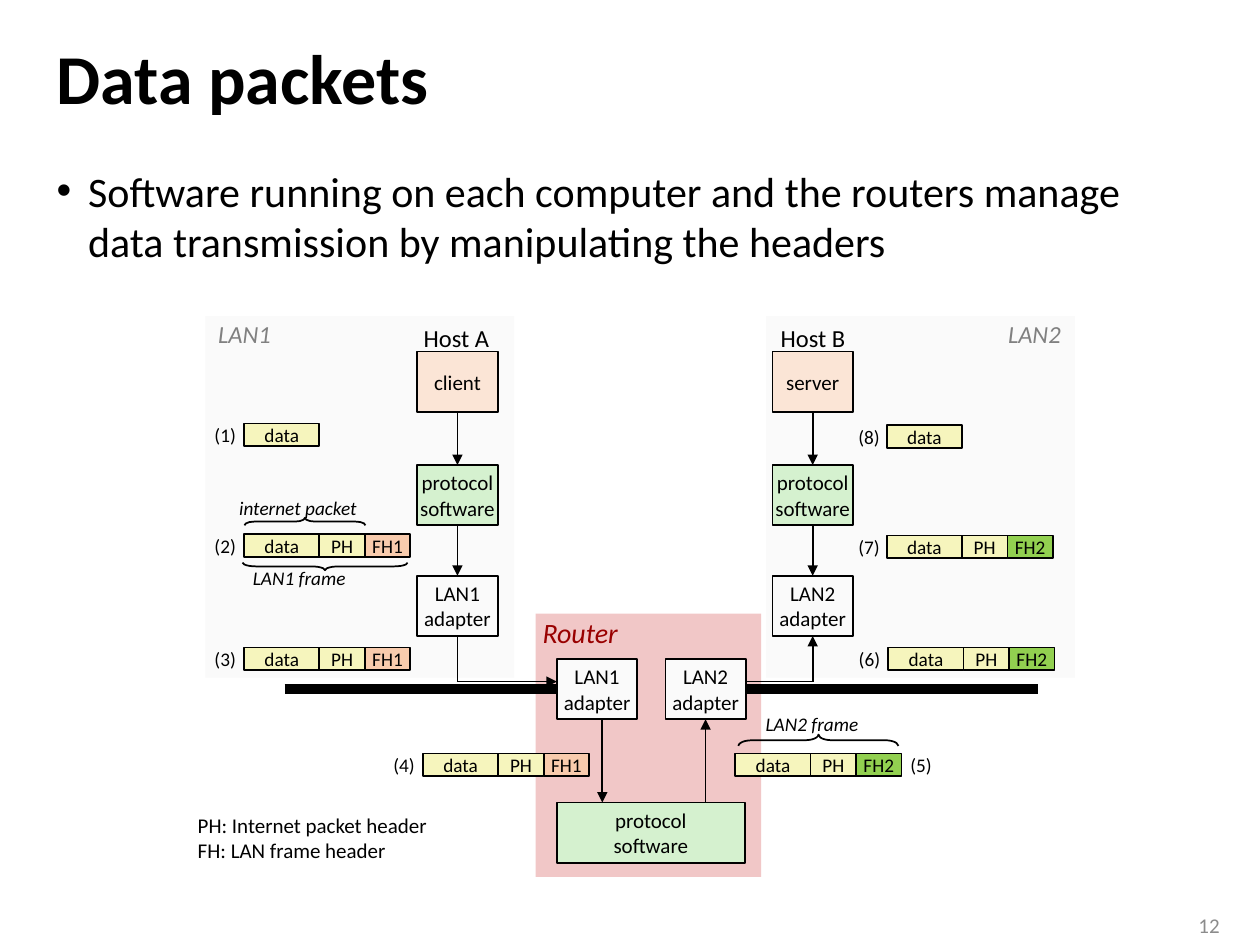
from lxml import etree
from pptx import Presentation
from pptx.dml.color import RGBColor
from pptx.enum.shapes import MSO_CONNECTOR, MSO_SHAPE
from pptx.enum.text import MSO_ANCHOR, PP_ALIGN
from pptx.oxml.ns import qn
from pptx.util import Pt

RECT, BRACE = MSO_SHAPE.RECTANGLE, MSO_SHAPE.LEFT_BRACE
STRAIGHT = MSO_CONNECTOR.STRAIGHT
TOP, MIDDLE = MSO_ANCHOR.TOP, MSO_ANCHOR.MIDDLE
LEFT, CENTER, RIGHT = PP_ALIGN.LEFT, PP_ALIGN.CENTER, PP_ALIGN.RIGHT

FONT = "Calibri"
HUES = {
    "black": "000000", "gray": "808080", "number": "8C8C8C", "red": "990000",
    "pale": "FAFAFA", "pink": "F1C7C7", "green": "D5F1CF", "peach": "FBE5D6",
    "yellow": "F6F5BD", "FH1": "F8CBAD", "FH2": "92D050",
}
HUES = {name: RGBColor.from_string(code) for name, code in HUES.items()}

deck = Presentation()
deck.slide_width, deck.slide_height = Pt(720), Pt(540)
slide = deck.slides.add_slide(deck.slide_layouts[6])


def put(x, y, w, h, text="", size=12, hue="black", fill=None, edge=True,
        bold=False, italic=False, align=CENTER, anchor=MIDDLE, wrap=False):
    """Add a filled box, or a plain text box when there is no fill."""
    place = [Pt(v) for v in (x, y, w, h)]
    if fill:
        box = slide.shapes.add_shape(RECT, *place)
        box.shadow.inherit = False
        box.fill.solid()
        box.fill.fore_color.rgb = HUES[fill]
        if edge:
            box.line.color.rgb = HUES["black"]
            box.line.width = Pt(1)
        else:
            box.line.fill.background()
    else:
        box = slide.shapes.add_textbox(*place)
    frame = box.text_frame
    frame.word_wrap, frame.vertical_anchor = wrap, anchor
    frame.margin_left = frame.margin_right = 0
    frame.margin_top = frame.margin_bottom = 0
    for i, line in enumerate(text.split("\n") if text else []):
        para = frame.add_paragraph() if i else frame.paragraphs[0]
        para.alignment = align
        run = para.add_run()
        run.text = line
        font = run.font
        font.name, font.size = FONT, Pt(size)
        font.bold, font.italic = bold, italic
        font.color.rgb = HUES[hue]
    return box


def link(x1, y1, x2, y2, width=1, arrow=True):
    """Add a straight line, with an arrowhead at its end if wanted."""
    line = slide.shapes.add_connector(STRAIGHT, Pt(x1), Pt(y1), Pt(x2), Pt(y2))
    line.line.color.rgb = HUES["black"]
    line.line.width = Pt(width)
    if arrow:
        etree.SubElement(line.line._get_or_add_ln(), qn("a:tailEnd"), type="triangle")
    etree.SubElement(line._element.spPr, qn("a:effectLst"))
    return line


# Title, bullet and slide number
title = put(32.4, 13.7, 654, 66, "Data packets", 40, bold=True, align=LEFT, wrap=True)
title.text_frame.paragraphs[0].line_spacing = 0.9
body = put(32.4, 94.3, 654, 412,
           "Software running on each computer and the routers manage "
           "data transmission by manipulating the headers",
           24, align=LEFT, anchor=TOP, wrap=True)
item = body.text_frame.paragraphs[0]
item.space_before = Pt(10)
props = item._p.get_or_add_pPr()
props.set("marL", str(Pt(18)))
props.set("indent", str(-Pt(18)))
etree.SubElement(props, qn("a:buFont"), typeface="Arial")
etree.SubElement(props, qn("a:buChar"), char="•")
put(667.4, 517.7, 29.6, 22.3, "12", 12, "number", align=RIGHT, wrap=True)

# Network panels and cables
for x, y, w, h, fill in [(437.8, 180.7, 176.4, 206.6, "pale"),
                         (117.4, 180.7, 176.4, 206.6, "pale"),
                         (306, 350.6, 129, 150.5, "pink")]:
    put(x, y, w, h, fill=fill, edge=False)
for x1, x2 in [(162.7, 330.5), (426.2, 593.3)]:
    link(x1, 393.8, x2, 393.8, 6, arrow=False)

# Host stacks
WIDE, HIGH = 46, 34.4
bases = []
for x, role, lan in [(238.4, "client", "LAN1"), (441.4, "server", "LAN2")]:
    app = put(x, 200.9, WIDE, HIGH, role, fill="peach")
    soft = put(x, 265.7, WIDE, HIGH, "protocol\nsoftware", fill="green")
    card = put(x, 329, WIDE, HIGH, f"{lan}\nadapter", fill="pale")
    for upper, lower in [(app, soft), (soft, card)]:
        line = link(x, 0, x, 1)
        line.begin_connect(upper, 2)
        line.end_connect(lower, 0)
    bases.append((card, x + WIDE / 2))

# Router
put(318.2, 458.6, 107.4, HIGH, "protocol\nsoftware", fill="green")
put(318.2, 376.6, WIDE, HIGH, "LAN1\nadapter", fill="pale")
exit_card = put(380.2, 376.6, WIDE, HIGH, "LAN2\nadapter", fill="pale")
link(344.2, 411, 344.2, 458.6)
link(403.2, 458.6, 403.2, 411).end_connect(exit_card, 2)

# Paths between hosts and router
WIRE = 389.5
(card_a, mid_a), (card_b, mid_b) = bases
link(mid_a, 363.4, mid_a, WIRE, arrow=False).begin_connect(card_a, 2)
link(mid_a, WIRE, 318.2, WIRE)
link(426.2, WIRE, mid_b, WIRE, arrow=False)
link(mid_b, WIRE, mid_b, 363.4).end_connect(card_b, 2)

# Packets in order of travel: left, top, frame header, offset of the number
packets = [
    (139.5, 242, None, -24.5), (139.5, 305.2, "FH1", -24.5),
    (139.5, 370, "FH1", -24.5), (241.7, 430.6, "FH1", -24.5),
    (420.2, 430.6, "FH2", 92.4), (507.6, 370, "FH2", -24.5),
    (506.7, 306, "FH2", -23.8), (506.7, 243, None, -23.8),
]
for step, (x, y, head, shift) in enumerate(packets, 1):
    put(x + shift, y - 4, 27.4, 21, f"({step})", 11)
    put(x, y, 43, 13, "data", 11, fill="yellow")
    if head:
        put(x + 43, y, 26, 13, "PH", 11, fill="yellow")
        put(x + 69, y, 26, 13, head, 11, fill=head)

# Braces: left, top, width, height before turning, turn, curl
for x, y, w, h, turn, curl in [(464.4, 377.3, 6.5, 91.4, 90, 1.19),
                               (172.1, 263.5, 4.3, 69.1, 90, 1.33),
                               (183.6, 276.5, 4.3, 94.3, 270, 1.83)]:
    brace = slide.shapes.add_shape(BRACE, Pt(x), Pt(y), Pt(w), Pt(h))
    brace.shadow.inherit = False
    brace.rotation = turn
    brace.adjustments[0] = curl
    brace.fill.background()
    brace.line.color.rgb = HUES["black"]
    brace.line.width = Pt(1)

# Captions
for x, y, w, h, text, size, hue, slant in [
    (117.4, 178.6, 44.6, 24.2, "LAN1", 14, "gray", True),
    (568.8, 178.6, 44.6, 24.2, "LAN2", 14, "gray", True),
    (234.7, 181, 52.2, 24.2, "Host A", 14, "black", False),
    (438.5, 181, 52.2, 24.2, "Host B", 14, "black", False),
    (302.4, 347.8, 58.3, 26.6, "Router", 16, "red", True),
    (128.9, 279.4, 82.8, 21, "internet packet", 11, "black", True),
    (136.8, 319.7, 68.4, 21, "LAN1 frame", 11, "black", True),
    (429.8, 403.2, 68.4, 21, "LAN2 frame", 11, "black", True),
]:
    put(x, y, w, h, text, size, hue, italic=slant)
put(113, 464.4, 140, 30, "PH: Internet packet header\nFH: LAN frame header",
    align=LEFT, anchor=TOP, wrap=True)

deck.save("out.pptx")
